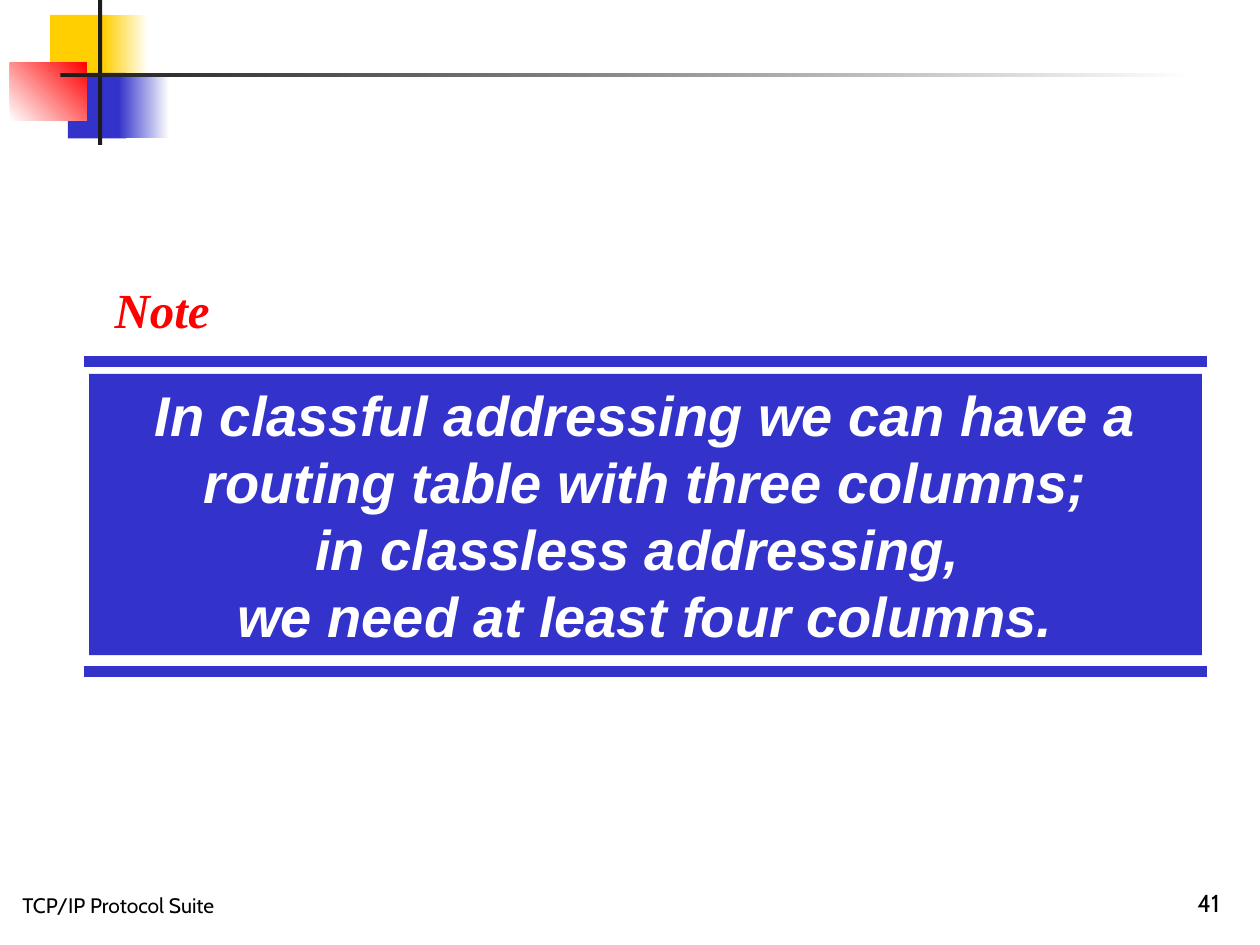
from dataclasses import dataclass

import lxml.etree
import pptx
import pptx.dml.color
import pptx.enum.shapes
import pptx.enum.text
import pptx.oxml.ns
import pptx.util

Cm = pptx.util.Cm
ALIGN = pptx.enum.text.PP_ALIGN
ANCHOR = pptx.enum.text.MSO_ANCHOR
FIT = pptx.enum.text.MSO_AUTO_SIZE


def colour(code):
    return pptx.dml.color.RGBColor.from_string(code)


@dataclass(frozen=True)
class Theme:
    yellow = colour("FFCF01")
    blue = colour("3333CC")
    red = colour("FF0000")
    ink = colour("1C1C1C")
    black = colour("000000")
    white = colour("FFFFFF")
    footer_font = "Cabin"
    message_font = "Arial"
    label_font = "Times New Roman"
    footer_size = 12
    number_size = 14
    label_size = 28
    message_size = 32
    rule_width = 6


THEME = Theme()


def style_paragraph(para, font, size, ink, align=ALIGN.LEFT, strong=False):
    para.alignment = align
    para.font.name = font
    para.font.size = pptx.util.Pt(size)
    para.font.color.rgb = ink
    if strong:
        para.font.bold = True
        para.font.italic = True


def add_block(page, left, top, width, height, start, end=None, angle=0):
    block = page.shapes.add_shape(
        pptx.enum.shapes.MSO_SHAPE.RECTANGLE, Cm(left), Cm(top), Cm(width), Cm(height)
    )
    block.shadow.inherit = False
    block.line.fill.background()
    if end is None:
        block.fill.solid()
        block.fill.fore_color.rgb = start
    else:
        block.fill.gradient()
        block.fill.gradient_angle = angle
        for stop, shade in zip(block.fill.gradient_stops, (start, end)):
            stop.color.rgb = shade
    return block


def add_text(page, left, top, width, height, text, wrap=True, anchor=ANCHOR.TOP, **style):
    box = page.shapes.add_textbox(Cm(left), Cm(top), Cm(width), Cm(height))
    box.text_frame.word_wrap = wrap
    box.text_frame.vertical_anchor = anchor
    para = box.text_frame.paragraphs[0]
    para.text = text
    style_paragraph(para, **style)
    return box


def add_rule(page, left, top, width):
    rule = page.shapes.add_connector(
        pptx.enum.shapes.MSO_CONNECTOR.STRAIGHT, Cm(left), Cm(top), Cm(left + width), Cm(top)
    )
    rule.line.color.rgb = THEME.blue
    rule.line.width = pptx.util.Pt(THEME.rule_width)
    properties = rule._element.spPr
    lxml.etree.SubElement(properties, pptx.oxml.ns.qn("a:effectLst"))


def add_ornament(page, left, top):
    blocks = [
        (0.81, 0.3, 1.22, 1.32, THEME.yellow),
        (1.88, 0.3, 0.91, 1.32, THEME.yellow, THEME.white),
        (1.17, 1.47, 1.17, 1.32, THEME.blue),
        (2.19, 1.47, 1.02, 1.32, THEME.blue, THEME.white),
        (0, 1.27, 1.55, 1.17, THEME.white, THEME.red, 45),
        (1.78, 0, 0.08, 2.92, THEME.ink),
        (1.02, 1.47, 22.86, 0.08, THEME.ink, THEME.white),
    ]
    for across, down, *rest in blocks:
        add_block(page, left + across, top + down, *rest)


def add_note(page, left, top, width, height, label, lines):
    inset, rule_gap = 0.1, 1.78
    rule_span = height - rule_gap
    for down in (rule_gap, rule_gap + rule_span):
        add_rule(page, left, top + down, width)

    panel = add_block(
        page, left + inset, top + rule_gap + 0.25, width - 2 * inset, rule_span - 0.58, THEME.blue
    )
    frame = panel.text_frame
    frame.word_wrap = True
    frame.auto_size = FIT.SHAPE_TO_FIT_TEXT
    frame.vertical_anchor = ANCHOR.TOP
    for index, line in enumerate(lines):
        para = frame.add_paragraph() if index else frame.paragraphs[0]
        para.text = line
        style_paragraph(
            para, THEME.message_font, THEME.message_size, THEME.white, ALIGN.CENTER, strong=True
        )

    heading = add_text(
        page, left + 0.36, top, 2.44, 1.45, label, wrap=False,
        font=THEME.label_font, size=THEME.label_size, ink=THEME.red, strong=True,
    )
    heading.text_frame.auto_size = FIT.SHAPE_TO_FIT_TEXT


def add_footer(page, left, top, width, height, title, number):
    number_width = 5.28
    add_text(
        page, left, top, 8.05, height, title, anchor=ANCHOR.BOTTOM,
        font=THEME.footer_font, size=THEME.footer_size, ink=THEME.black,
    )
    add_text(
        page, left + width - number_width, top, number_width, height, number,
        anchor=ANCHOR.BOTTOM, font=THEME.footer_font, size=THEME.number_size,
        ink=THEME.black, align=ALIGN.RIGHT,
    )


def main():
    deck = pptx.Presentation()
    deck.slide_width, deck.slide_height = Cm(25.4), Cm(19.05)
    page = deck.slides.add_slide(deck.slide_layouts[6])
    add_footer(page, 0.2, 17.35, 24.64, 1.27, "TCP/IP Protocol Suite", "41")
    add_ornament(page, 0.2, 0)
    add_note(
        page, 1.7, 5.51, 22.63, 8.03, "Note",
        [
            "In classful addressing we can have a routing table with three columns;",
            "in classless addressing, ",
            "we need at least four columns.",
        ],
    )
    deck.save("out.pptx")


if __name__ == "__main__":
    main()
